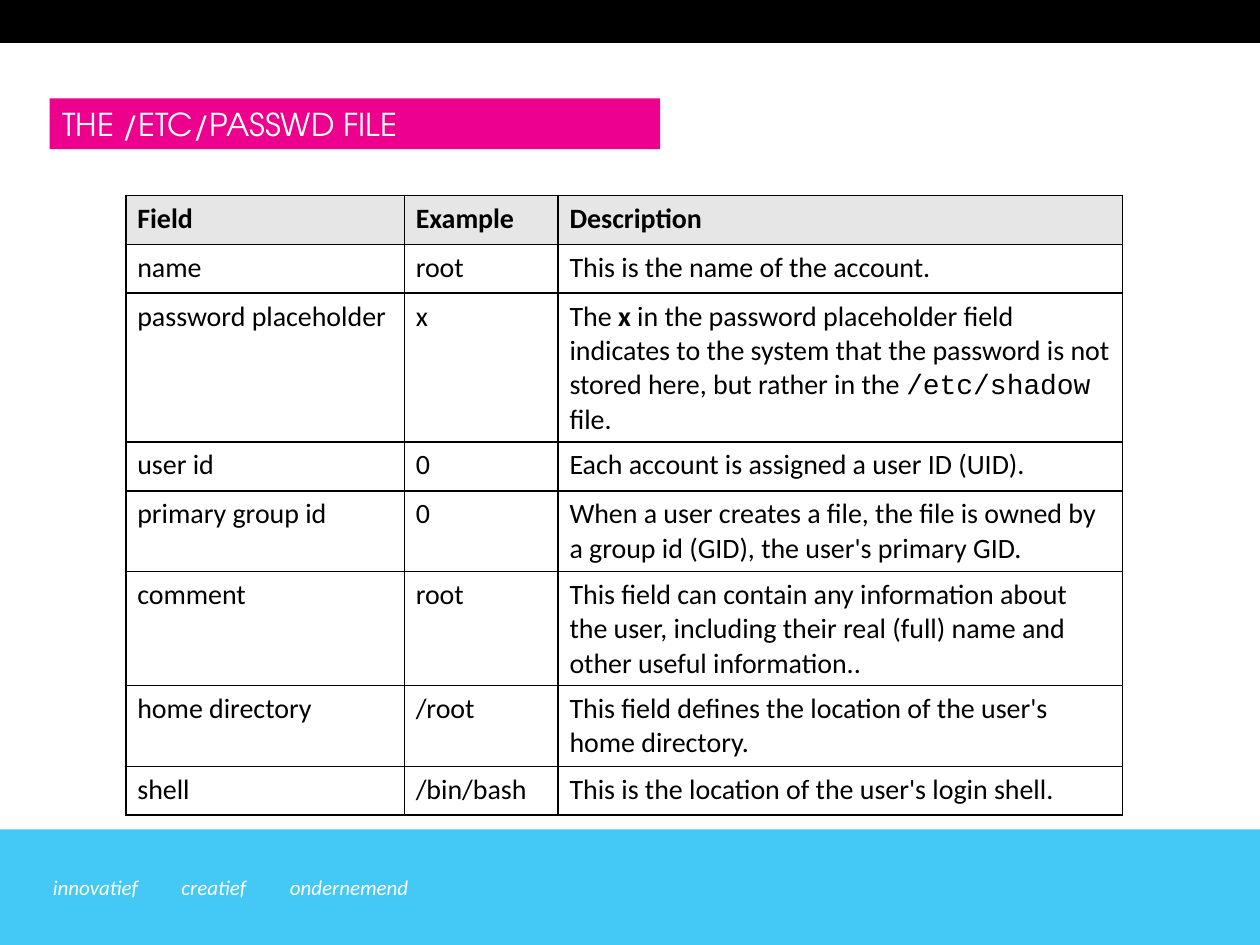
from lxml import etree
from pptx import Presentation, util as u
from pptx.dml.color import RGBColor
from pptx.enum import shapes, text
from pptx.oxml import ns

Pt = u.Pt
COLUMNS = [159.1, 87.9, 322.5]
HEIGHTS = [28, 28, 85, 28, 46.2, 65, 46.2, 28]
ROWS = [
    ("Field", "Example", "Description"),
    ("name", "root", "This is the name of the account."),
    ("password placeholder", "x", [
        ("The ", {}),
        ("x", {"bold": True}),
        (" in the password placeholder field indicates to the system that "
         "the password is not stored here, but rather in the ", {}),
        ("/etc/shadow", {"font": "Courier New"}),
        (" file.", {}),
    ]),
    ("user id", "0", "Each account is assigned a user ID (UID)."),
    ("primary group id", "0",
     "When a user creates a file, the file is owned by a group id (GID), "
     "the user's primary GID."),
    ("comment", "root",
     "This field can contain any information about the user, including "
     "their real (full) name and other useful information.."),
    ("home directory", "/root",
     "This field defines the location of the user's home directory."),
    ("shell", "/bin/bash", "This is the location of the user's login shell."),
]
MOTTO = [("innovatief", 30.2, 56.2), ("creatief", 103.7, 44.6),
         ("ondernemend", 165.6, 75.6)]


def rgb(value):
    """Turn a hex string into a colour."""
    return RGBColor.from_string(value)


def add_run(p, words, size, color, font="Calibri", bold=False, italic=False):
    """Append one formatted run to a paragraph."""
    r = p.add_run()
    r.text = words
    r.font.name, r.font.size = font, Pt(size)
    r.font.bold, r.font.italic = bold, italic
    r.font.color.rgb = rgb(color)


def add_bar(s, left, top, width, height, color):
    """Draw a plain filled rectangle."""
    sp = s.shapes.add_shape(shapes.MSO_SHAPE.RECTANGLE,
                            Pt(left), Pt(top), Pt(width), Pt(height))
    sp.shadow.inherit = False
    sp.fill.solid()
    sp.fill.fore_color.rgb = rgb(color)
    sp.line.fill.background()
    return sp


def add_title(s, words):
    """Draw the title bar with its text."""
    tf = add_bar(s, 28.4, 56.2, 348.8, 29, "ED008D").text_frame
    tf.word_wrap = False
    tf.vertical_anchor = text.MSO_ANCHOR.MIDDLE
    p = tf.paragraphs[0]
    p.alignment = text.PP_ALIGN.LEFT
    add_run(p, words, 18, "FFFFFF", "TeX Gyre Adventor")


def add_motto(s, words, left, width):
    """Place one italic word in the footer."""
    tf = s.shapes.add_textbox(Pt(left), Pt(496.1), Pt(width), Pt(21.8)).text_frame
    tf.margin_left = 0
    tf.word_wrap = False
    add_run(tf.paragraphs[0], words, 12, "FFFFFF", italic=True)


def add_borders(cell, color, width):
    """Line all four sides of a table cell."""
    tc_pr = cell._tc.get_or_add_tcPr()
    for i, side in enumerate(("lnL", "lnR", "lnT", "lnB")):
        ln = etree.Element(ns.qn("a:" + side), w=str(Pt(width)))
        fill = etree.SubElement(ln, ns.qn("a:solidFill"))
        etree.SubElement(fill, ns.qn("a:srgbClr"), val=color)
        tc_pr.insert(i, ln)


def fill_cell(cell, content, header):
    """Write and format one table cell."""
    cell.margin_left = cell.margin_right = Pt(6.5)
    cell.margin_top = cell.margin_bottom = Pt(3.6)
    if header:
        cell.fill.solid()
        cell.fill.fore_color.rgb = rgb("E6E6E6")
    else:
        cell.fill.background()
    add_borders(cell, "000000", 1)
    runs = [(content, {"bold": header})] if isinstance(content, str) else content
    for words, style in runs:
        add_run(cell.text_frame.paragraphs[0], words, 16, "000000", **style)


def add_field_table(s):
    """Build the table of account fields."""
    table = s.shapes.add_table(len(ROWS), len(COLUMNS), Pt(72), Pt(111.6),
                               Pt(sum(COLUMNS)), Pt(sum(HEIGHTS))).table
    table.horz_banding = False
    for column, width in zip(table.columns, COLUMNS):
        column.width = Pt(width)
    for i, (row, height) in enumerate(zip(table.rows, HEIGHTS)):
        row.height = Pt(height)
        for cell, content in zip(row.cells, ROWS[i]):
            fill_cell(cell, content, i == 0)


def main():
    """Build and save the slide."""
    prs = Presentation()
    prs.slide_width, prs.slide_height = Pt(720), Pt(540)
    s = prs.slides.add_slide(prs.slide_layouts[6])
    add_bar(s, 0, 474, 720, 66, "44C8F5")
    add_bar(s, 0, 0, 720, 24.5, "000000")
    for words, left, width in MOTTO:
        add_motto(s, words, left, width)
    add_title(s, "THE /ETC/PASSWD FILE")
    add_field_table(s)
    prs.save("out.pptx")


if __name__ == "__main__":
    main()
